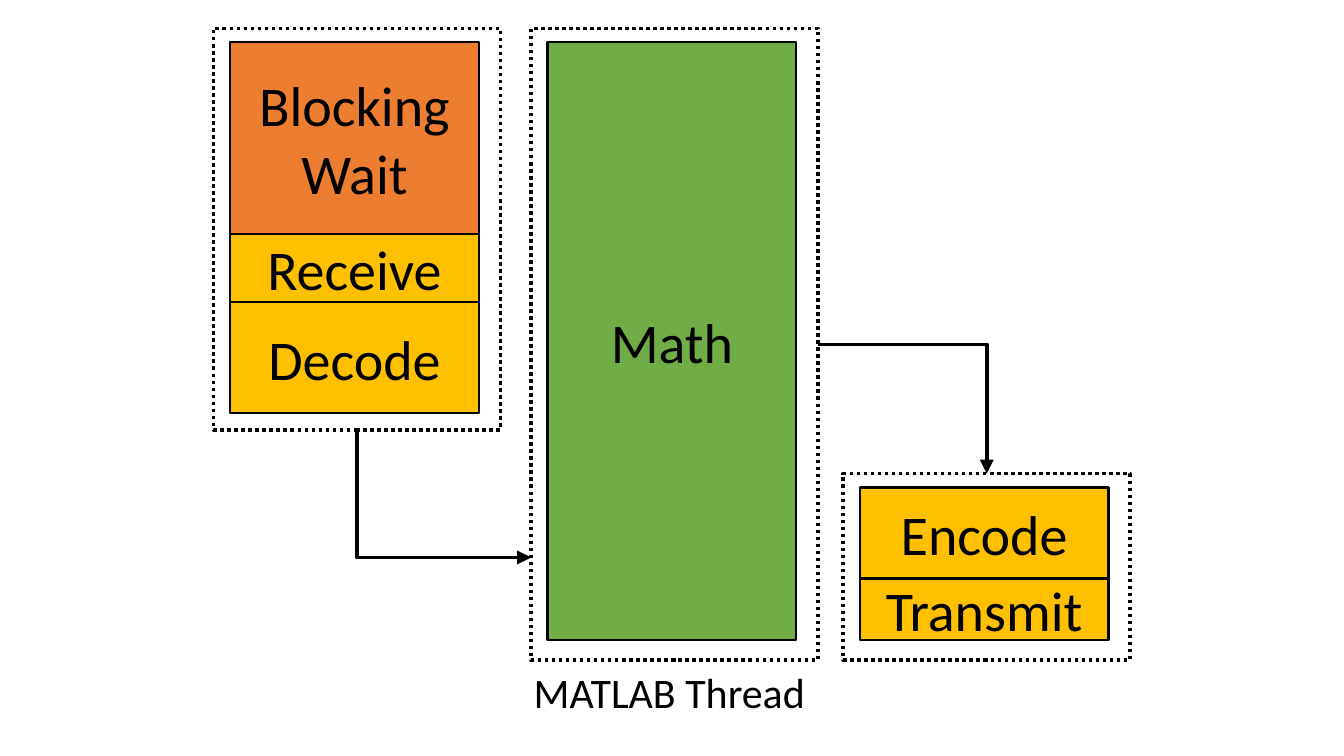
from dataclasses import dataclass

from lxml.etree import SubElement
from pptx import Presentation
from pptx.dml.color import RGBColor
from pptx.enum.dml import MSO_LINE_DASH_STYLE as Dash
from pptx.enum.shapes import MSO_CONNECTOR as Connector, MSO_SHAPE as Shape
from pptx.enum.text import MSO_ANCHOR as Anchor, MSO_AUTO_SIZE as AutoSize, PP_ALIGN as Align
from pptx.oxml.ns import qn
from pptx.shapes.shapetree import GroupShapes
from pptx.text.text import TextFrame
from pptx.util import Cm, Pt

COLORS = {"black": "000000", "wait": "ED7D31", "transfer": "FFC000", "math": "70AD47"}
FONT = "Calibri"
FRAME_WIDTH, BLOCK_WIDTH = 4.34, 3.76
INSET_X, INSET_Y = 0.25, 0.21


@dataclass(frozen=True)
class Block:
    label: str
    height: float
    color: str


@dataclass(frozen=True)
class Stage:
    left: float
    top: float
    height: float
    blocks: tuple[Block, ...]

    @property
    def right(self) -> float:
        return self.left + FRAME_WIDTH

    @property
    def center(self) -> float:
        return self.left + FRAME_WIDTH / 2

    @property
    def middle(self) -> float:
        return self.top + self.height / 2

    @property
    def bottom(self) -> float:
        return self.top + self.height


INPUT = Stage(3.23, 0.43, 6.07, (
    Block("Blocking\nWait", 2.9, "wait"),
    Block("Receive", 1.03, "transfer"),
    Block("Decode", 1.68, "transfer"),
))
MATH = Stage(8.03, 0.43, 9.55, (Block("Math", 9.04, "math"),))
OUTPUT = Stage(12.75, 7.16, 2.82, (
    Block("Encode", 1.38, "transfer"),
    Block("Transmit", 0.93, "transfer"),
))


def rgb(name: str) -> RGBColor:
    return RGBColor.from_string(COLORS[name])


def write(frame: TextFrame, text: str, *, size: int, align: Align) -> None:
    frame.text = text
    for para in frame.paragraphs:
        para.alignment = align
        for span in para.runs:
            span.font.name = FONT
            span.font.size = Pt(size)
            span.font.color.rgb = rgb("black")


def draw_box(shapes: GroupShapes, left: float, top: float, width: float, height: float,
             line_width: float):
    box = shapes.add_shape(Shape.RECTANGLE, Cm(left), Cm(top), Cm(width), Cm(height))
    box.shadow.inherit = False
    box.line.color.rgb = rgb("black")
    box.line.width = Pt(line_width)
    return box


def draw_stage(shapes: GroupShapes, stage: Stage) -> None:
    top = stage.top + INSET_Y
    for block in stage.blocks:
        box = draw_box(shapes, stage.left + INSET_X, top, BLOCK_WIDTH, block.height, 1)
        box.fill.solid()
        box.fill.fore_color.rgb = rgb(block.color)
        box.text_frame.vertical_anchor = Anchor.MIDDLE
        write(box.text_frame, block.label, size=24, align=Align.CENTER)
        top += block.height
    border = draw_box(shapes, stage.left, stage.top, FRAME_WIDTH, stage.height, 1.5)
    border.fill.background()
    border.line.dash_style = Dash.ROUND_DOT


def draw_elbow(shapes: GroupShapes, start: tuple[float, float], end: tuple[float, float],
               *, down_first: bool = False) -> None:
    (x1, y1), (x2, y2) = start, end
    if down_first:
        center_x, center_y = (x1 + x2) / 2, (y1 + y2) / 2
        half_width, half_height = (y2 - y1) / 2, (x2 - x1) / 2
        x1, x2 = center_x + half_width, center_x - half_width
        y1, y2 = center_y - half_height, center_y + half_height
    arrow = shapes.add_connector(Connector.ELBOW, Cm(x1), Cm(y1), Cm(x2), Cm(y2))
    arrow.line.color.rgb = rgb("black")
    arrow.line.width = Pt(1.5)
    properties = arrow._element.spPr
    properties.find(qn("a:prstGeom")).set("prst", "bentConnector2")
    if down_first:
        properties.find(qn("a:xfrm")).set("rot", str(270 * 60000))
    SubElement(properties.find(qn("a:ln")), qn("a:tailEnd"), type="triangle")
    SubElement(properties, qn("a:effectLst"))


def draw_caption(shapes: GroupShapes, text: str) -> None:
    caption = shapes.add_textbox(Cm(7.82), Cm(9.96), Cm(4.65), Cm(1.02))
    frame = caption.text_frame
    frame.word_wrap = False
    frame.auto_size = AutoSize.SHAPE_TO_FIT_TEXT
    write(frame, text, size=18, align=Align.LEFT)


def main() -> None:
    deck = Presentation()
    deck.slide_width, deck.slide_height = Cm(20.32), Cm(11.43)
    page = deck.slides.add_slide(deck.slide_layouts[6])
    shapes = page.shapes.add_group_shape().shapes
    for stage in (INPUT, MATH, OUTPUT):
        draw_stage(shapes, stage)
    draw_elbow(shapes, (INPUT.center, INPUT.bottom), (MATH.left, 8.43), down_first=True)
    draw_elbow(shapes, (MATH.right, MATH.middle), (OUTPUT.center, OUTPUT.top))
    draw_caption(shapes, "MATLAB Thread")
    deck.save("out.pptx")


if __name__ == "__main__":
    main()
